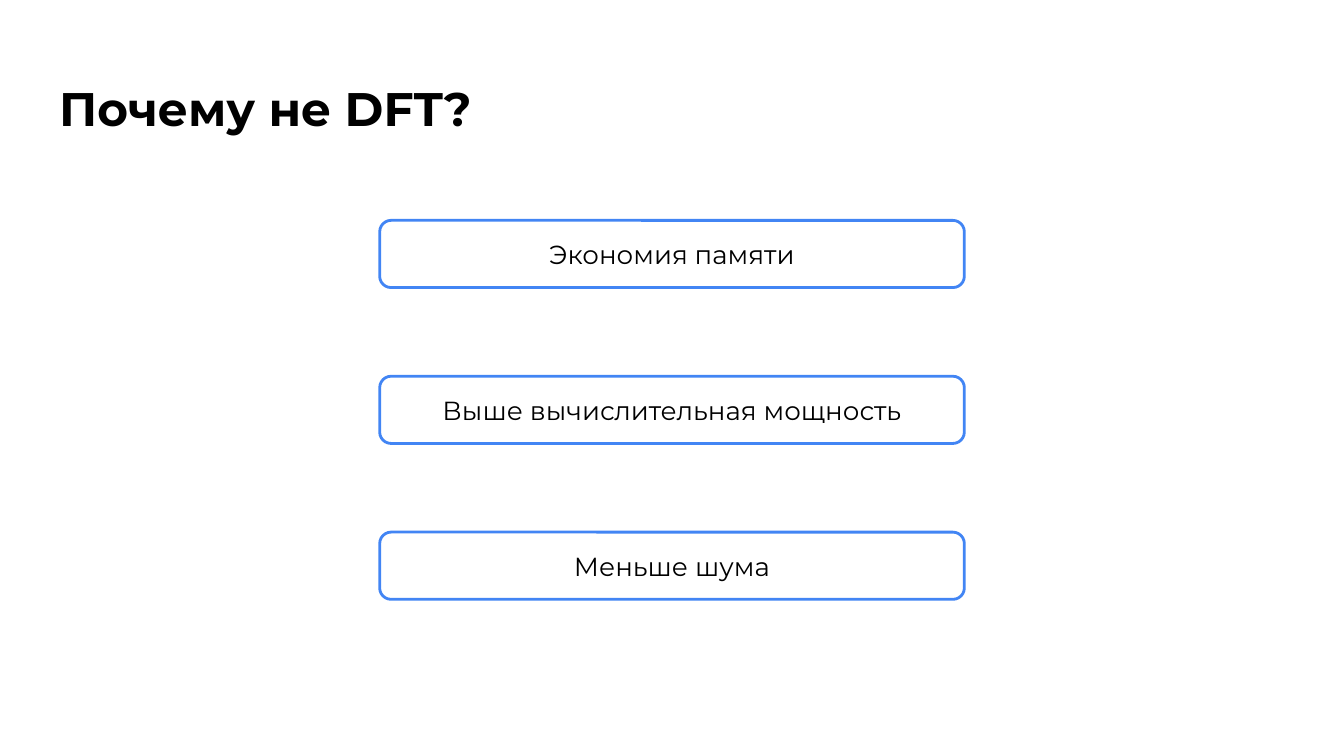
"""Build a slide with a title and three reasons in rounded boxes."""
from pptx import Presentation, util as u
from pptx.dml.color import RGBColor
from pptx.enum import shapes, text

WIDTH = 10
HEIGHT = WIDTH * 9 / 16
MARGIN = 0.34
FONT = "Montserrat"
REASONS = ["Экономия памяти", "Выше вычислительная мощность", "Меньше шума"]
BOX_TOP, BOX_WIDTH, BOX_HEIGHT = 1.64, 4.35, 0.5
BOX_LEFT = (WIDTH - BOX_WIDTH) / 2
ROW_STEP = 1.16


def color(value):
    """Return the colour for a hex string."""
    return RGBColor.from_string(value)


def frame(left, top, width, height):
    """Return a position and size given in inches as lengths."""
    return [u.Inches(n) for n in (left, top, width, height)]


def write(sp, words, size=14, bold=False, align=text.PP_ALIGN.CENTER,
          anchor=text.MSO_ANCHOR.MIDDLE, fill="000000"):
    """Write one formatted paragraph into a shape."""
    tf = sp.text_frame
    tf.word_wrap = True
    tf.auto_size = text.MSO_AUTO_SIZE.NONE
    tf.vertical_anchor = anchor
    tf.margin_left = tf.margin_right = u.Inches(0.1)
    tf.margin_top = tf.margin_bottom = u.Inches(0.1)
    p = tf.paragraphs[0]
    p.alignment = align
    p.space_before = u.Pt(0)
    p.line_spacing = 1.0
    r = p.add_run()
    r.text = words
    r.font.name, r.font.size, r.font.bold = FONT, u.Pt(size), bold
    r.font.color.rgb = color(fill)


def add_title(s, words):
    """Fill the title placeholder."""
    sp = s.shapes.title
    sp.left, sp.top, sp.width, sp.height = frame(
        MARGIN, 0.49, WIDTH - 2 * MARGIN, 0.63)
    write(sp, words, size=25.2, bold=True, align=text.PP_ALIGN.LEFT,
          anchor=text.MSO_ANCHOR.TOP)


def add_reason(s, row, words):
    """Add an outlined rounded box in the given row."""
    sp = s.shapes.add_shape(
        shapes.MSO_SHAPE.ROUNDED_RECTANGLE,
        *frame(BOX_LEFT, BOX_TOP + row * ROW_STEP, BOX_WIDTH, BOX_HEIGHT))
    sp.adjustments[0] = 0.17
    sp.shadow.inherit = False
    sp.fill.solid()
    sp.fill.fore_color.rgb = color("FFFFFF")
    sp.line.color.rgb = color("4285F4")
    sp.line.width = u.Pt(1.5)
    write(sp, words)


def main():
    """Build and save the slide."""
    prs = Presentation()
    prs.slide_width, prs.slide_height = u.Inches(WIDTH), u.Inches(HEIGHT)
    s = prs.slides.add_slide(prs.slide_layouts[5])
    s.background.fill.solid()
    s.background.fill.fore_color.rgb = color("FFFFFF")
    add_title(s, "Почему не DFT?")
    for row, words in enumerate(REASONS):
        add_reason(s, row, words)
    prs.save("out.pptx")


if __name__ == "__main__":
    main()
